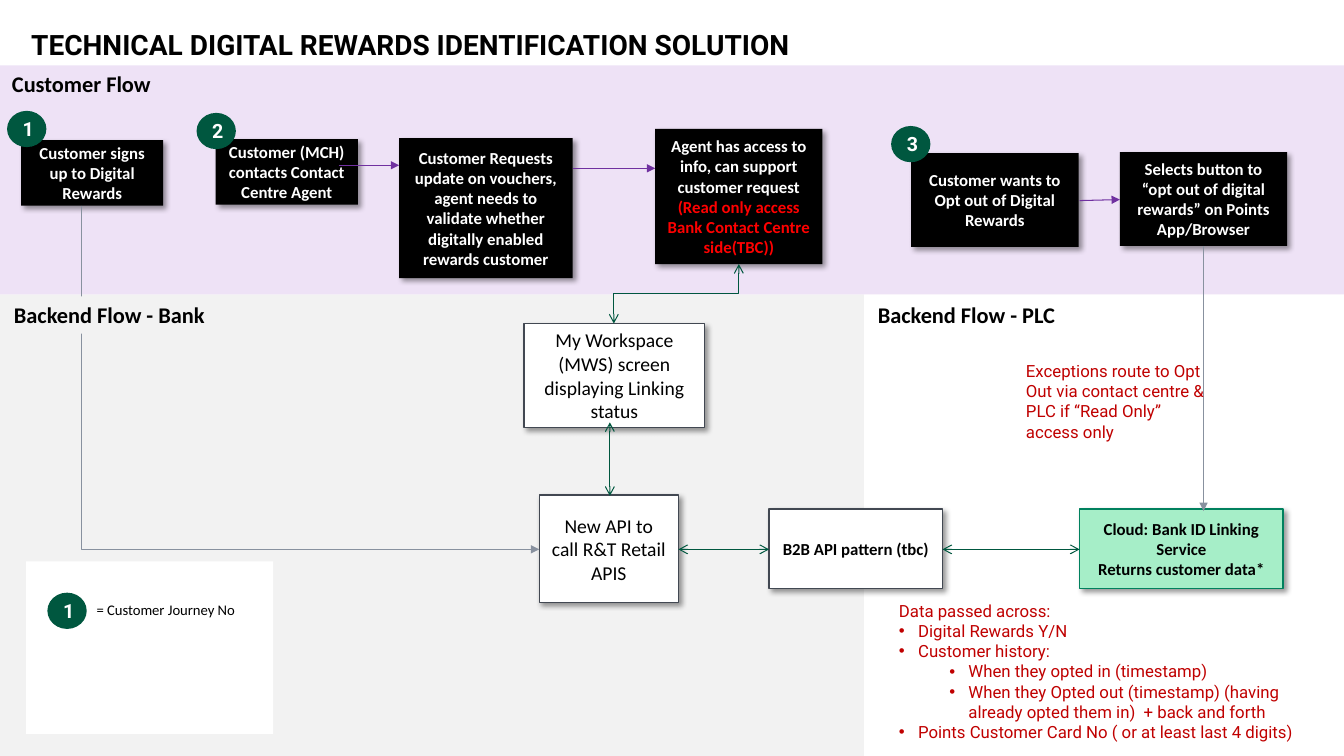
from lxml.etree import SubElement as Sub
from pptx import Presentation
from pptx.dml.color import RGBColor as RGB
from pptx.enum.shapes import MSO_CONNECTOR as Con, MSO_SHAPE as Geo
from pptx.enum.text import MSO_ANCHOR as Anchor, PP_ALIGN as Align
from pptx.oxml.ns import qn
from pptx.util import Inches, Pt

hues = {
    "black": "000000", "white": "FFFFFF", "lilac": "EEE2F6", "grey": "F2F2F2",
    "edge": "424852", "mint": "A6EEC8", "teal": "00815E", "green": "00573F",
    "plum": "7030A0", "slate": "88919F", "red": "FF0000", "brick": "C00000",
}
tint = {name: RGB.from_string(code) for name, code in hues.items()}

# Grid of tenth-inch cells: 133.33 columns by 75 rows
cell = Inches(0.1)
cols, rows = 133.33, 75

deck = Presentation()
deck.slide_width, deck.slide_height = int(cols * cell), rows * cell
slide = deck.slides.add_slide(deck.slide_layouts[6])
shapes = slide.shapes


def box(at, text="", fill=None, edge=None, ink="black", size=12, bold=True,
        font="Calibri", mid=False, shade=False, geo=Geo.RECTANGLE):
    spot = [int(n * cell) for n in at]
    if fill:
        item = shapes.add_shape(geo, *spot)
        item.fill.solid()
        item.fill.fore_color.rgb = tint[fill]
        if edge:
            item.line.color.rgb = tint[edge]
            item.line.width = Pt(1)
        else:
            item.line.fill.background()
        item.shadow.inherit = False
    else:
        item = shapes.add_textbox(*spot)
    if shade:
        glow = item.element.spPr.find(qn("a:effectLst"))
        cast = Sub(glow, qn("a:outerShdw"), blurRad=str(Pt(4)), dist=str(Pt(3)),
                   dir="2700000", algn="tl", rotWithShape="0")
        dark = Sub(cast, qn("a:srgbClr"), val=hues["black"])
        Sub(dark, qn("a:alpha"), val="40000")
    frame = item.text_frame
    frame.word_wrap = True
    frame.vertical_anchor = Anchor.MIDDLE if mid else Anchor.TOP
    frame.text = text
    for para in frame.paragraphs:
        para.alignment = Align.CENTER if mid else Align.LEFT
        for run in para.runs:
            run.font.name, run.font.size, run.font.bold = font, Pt(size), bold
            run.font.color.rgb = tint[ink]
    return item


def link(start, end, hue, both=False, turn=0, bend=None):
    # A turned elbow is laid out flat around its centre, then rotated
    midx, midy = (start[0] + end[0]) / 2, (start[1] + end[1]) / 2
    dx, dy = start[0] - midx, start[1] - midy
    dx, dy = {0: (dx, dy), 90: (dy, -dx), 270: (-dy, dx)}[turn]
    ends = [int(n * cell) for n in (midx + dx, midy + dy, midx - dx, midy - dy)]
    wire = shapes.add_connector(Con.ELBOW if bend else Con.STRAIGHT, *ends)
    wire.line.color.rgb = tint[hue]
    wire.line.width = Pt(0.75)
    prop = wire.element.spPr
    if bend:
        prop.find(qn("a:xfrm")).set("rot", str(turn * 60000))
        prop.find(qn("a:prstGeom")).set("prst", bend)
    line = prop.find(qn("a:ln"))
    if both:
        Sub(line, qn("a:headEnd"), type="arrow")
    Sub(line, qn("a:tailEnd"), type="arrow" if both else "triangle")
    Sub(prop, qn("a:effectLst"))


# Zones and legend panel
box((0, 29.2, 85.7, rows - 29.2), fill="grey")
box((0, 6.5, cols, 22.7), fill="lilac")
box((2.6, 55.7, 24.5, 17.1), fill="white")

# Title
title = box((3.1, 3.4, 110.8, 3.5), "TECHNICAL DIGITAL REWARDS IDENTIFICATION SOLUTION",
            size=20, font="Roboto")
frame = title.text_frame
frame.margin_left = frame.margin_right = frame.margin_top = frame.margin_bottom = 0
frame.paragraphs[0].line_spacing = 0.8

# Customer steps
steps = [
    ((2.1, 13.9, 14.1, 6.5), "Customer signs up to Digital Rewards"),
    ((21.4, 13.8, 14.1, 6.5), "Customer (MCH) contacts Contact Centre Agent"),
    ((39.6, 13.7, 17.2, 13.9), "Customer Requests update on vouchers, agent needs to "
                               "validate whether digitally enabled rewards customer"),
    ((90.4, 15.2, 16.6, 9.3), "Customer wants to Opt out of Digital Rewards"),
    ((111.1, 15.1, 16.6, 9.3), "Selects button to “opt out of digital rewards” "
                               "on Points App/Browser"),
    ((65, 12.8, 16.6, 13.4), "Agent has access to info, can support customer request\n"
                             "(Read only access Bank Contact Centre side(TBC))"),
]
for at, text in steps:
    card = box(at, text, "black", ink="white", mid=True, shade=True)
card.text_frame.paragraphs[1].runs[0].font.color.rgb = tint["red"]

# Backend systems
systems = [
    ((52, 32.1, 17.9, 10.3), "My Workspace (MWS) screen displaying Linking status",
     "white", "edge", 14, False),
    ((53.5, 49.1, 13.8, 10.7), "New API to call R&T Retail APIS",
     "white", "edge", 14, False),
    ((76.3, 50.5, 17.2, 7.9), "B2B API pattern (tbc)", "white", "edge", 12, True),
    ((107.1, 50.5, 20.2, 7.9), "Cloud: Bank ID Linking Service\nReturns customer data*",
     "mint", "teal", 12, True),
]
for at, text, fill, edge, size, bold in systems:
    box(at, text, fill, edge, size=size, bold=bold, mid=True, shade=True)

# Customer flow arrows
for start, end in [((33.6, 16.4), (39.6, 16.4)), ((56.8, 16.7), (65, 16.7)),
                   ((107.1, 19.9), (111.1, 19.8))]:
    link(start, end, "plum")

# Drops into the backend
link((119.4, 24.4), (119.4, 50.7), "slate")
link((8.1, 20.4), (53.5, 54.5), "slate", turn=270, bend="bentConnector2")

# Two-way data exchange
for start, end in [((60.5, 41.9), (60.5, 49.2)), ((67.3, 54.5), (76.3, 54.5)),
                   ((93.5, 54.5), (107.1, 54.5))]:
    link(start, end, "green", both=True)
link((60.9, 32.1), (73.3, 26.2), "green", both=True, turn=90, bend="bentConnector3")

# Zone headings and legend text
box((0.2, 6.5, 30.5, 3.7), "Customer Flow", size=16)
box((0.4, 29.4, 24.3, 3.7), "Backend Flow - Bank", "grey", size=16)
box((86.1, 29.4, 24.3, 3.7), "Backend Flow - PLC", size=16)
box((8.6, 59.1, 20.6, 2.8), "= Customer Journey No", size=10.5, bold=False)

# Journey numbers
for left, top, mark in [(0.7, 11, "1"), (19.5, 11.2, "2"), (88.4, 12.5, "3"),
                        (4.7, 58.8, "1")]:
    box((left, top, 3.9, 3.6), mark, "green", ink="white", size=14, font="Roboto",
        mid=True, geo=Geo.OVAL)

# Red notes: indent level 0 is plain, deeper levels are bulleted
notes = [
    ((93.7, 35.3, 27.3, 9.1),
     [(0, "Exceptions route to Opt Out via contact centre & PLC if “Read Only” access only")]),
    ((81.1, 59.1, 52, 15.1), [
        (0, "Data passed across:"),
        (1, "Digital Rewards Y/N"),
        (1, "Customer history:"),
        (2, "When they opted in (timestamp)"),
        (2, "When they Opted out (timestamp) (having already opted them in)  + back and forth"),
        (1, "Points Customer Card No ( or at least last 4 digits)"),
    ]),
]
inset = [7.1, 9, 14]
for at, lines in notes:
    note = box(at, "\n".join(text for _, text in lines), ink="brick", bold=False,
               font="Roboto")
    for para, (level, _) in zip(note.text_frame.paragraphs, lines):
        prop = para._p.get_or_add_pPr()
        prop.set("marL", str(int(inset[level] * cell)))
        prop.set("indent", str(int(-1.9 * cell) if level else 0))
        if level:
            Sub(prop, qn("a:buFont"), typeface="Arial")
            Sub(prop, qn("a:buChar"), char="•")

deck.save("out.pptx")
